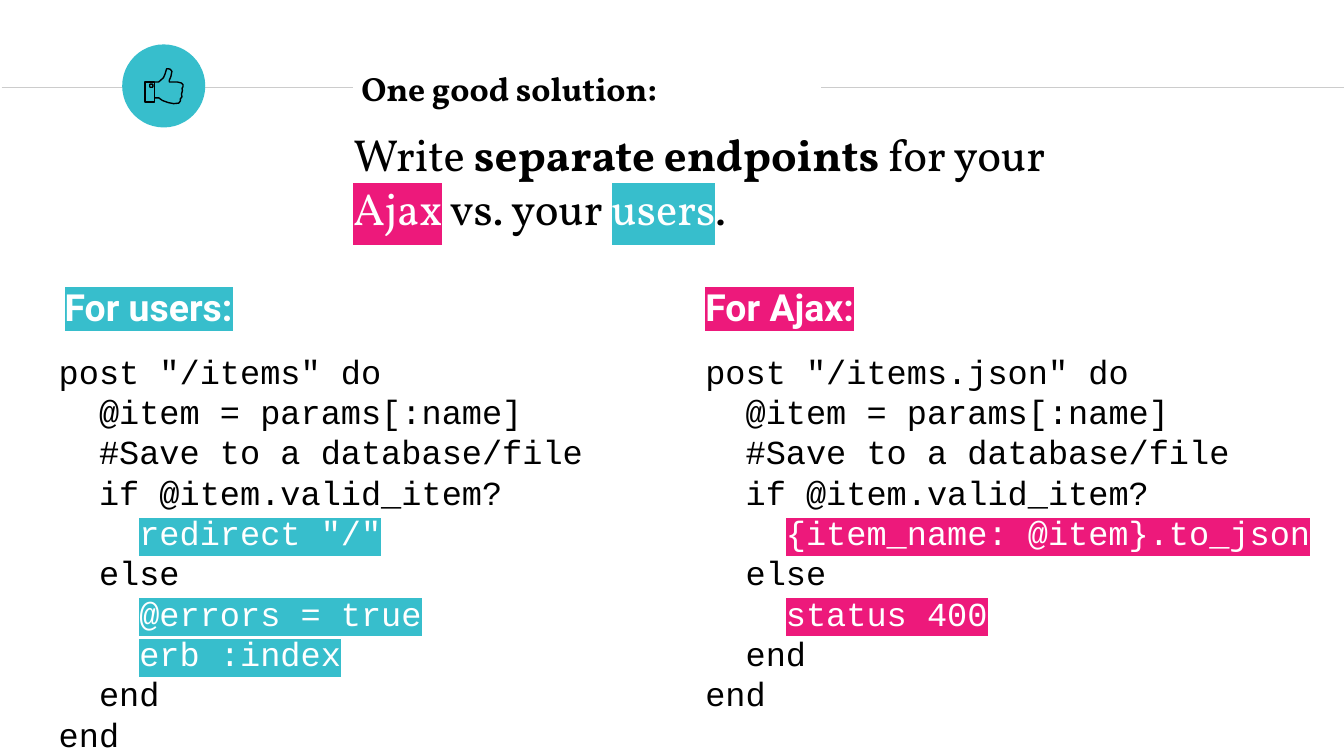
from dataclasses import dataclass
from math import cos, pi, sin

from lxml.etree import SubElement
from pptx import Presentation
from pptx.dml.color import RGBColor as RGB
from pptx.enum.shapes import MSO_CONNECTOR as CONN, MSO_SHAPE as SHAPE
from pptx.enum.text import MSO_ANCHOR as ANCHOR, MSO_AUTO_SIZE as AUTO, PP_ALIGN as ALIGN
from pptx.oxml import parse_xml
from pptx.oxml.ns import nsdecls, qn
from pptx.util import Cm, Pt


@dataclass(frozen=True)
class Theme:
    """Colours, fonts and type sizes."""
    ink: str = "000000"
    paper: str = "FFFFFF"
    rule: str = "CCCCCC"
    teal: str = "37BECC"
    pink: str = "ED197B"
    serif: str = "Vollkorn"
    sans: str = "Roboto"
    mono: str = "Courier New"
    body: int = 18
    label: int = 20
    lead: int = 24
    hairline: float = 0.75


def add_run(p, text, *, font, size, color, bold=False, mark=None):
    """Append a formatted run, highlighted when a mark colour is given."""
    r = p.add_run()
    r.text = text
    r.font.size, r.font.bold = Pt(size), bold
    r.font.color.rgb = RGB.from_string(color)
    if mark:
        fill = r._r.get_or_add_rPr().find(qn("a:solidFill"))
        fill.addnext(parse_xml(
            f'<a:highlight {nsdecls("a")}><a:srgbClr val="{mark}"/></a:highlight>'))
    r.font.name = font


class SlideBuilder:
    """Draws styled elements on the current slide."""

    def __init__(self, s, theme):
        """Keep the slide and its theme."""
        self.s, self.t = s, theme

    def frame(self, sp, box, anchor=ANCHOR.TOP):
        """Place a text shape and return its prepared text frame."""
        sp.left, sp.top, sp.width, sp.height = (Cm(v) for v in box)
        tf = sp.text_frame
        tf.word_wrap, tf.auto_size, tf.vertical_anchor = True, AUTO.NONE, anchor
        tf.margin_left = tf.margin_right = tf.margin_top = tf.margin_bottom = Cm(0.25)
        return tf

    def textbox(self, box):
        """Add an empty text box and return its text frame."""
        return self.frame(self.s.shapes.add_textbox(0, 0, 0, 0), box)

    def title(self, text, box):
        """Fill the title placeholder."""
        p = self.frame(self.s.shapes.title, box, ANCHOR.MIDDLE).paragraphs[0]
        p.alignment = ALIGN.LEFT
        add_run(p, text, font=self.t.serif, size=self.t.body, color=self.t.ink, bold=True)

    def subtitle(self, runs, box):
        """Fill the subtitle placeholder from (text, format) pairs."""
        p = self.frame(self.s.placeholders[1], box).paragraphs[0]
        p.alignment = ALIGN.LEFT
        p.line_spacing, p.space_before = Pt(29), Pt(5.4)
        for text, fmt in runs:
            style = {"color": self.t.ink, **fmt}
            add_run(p, text, font=self.t.serif, size=self.t.lead, **style)

    def label(self, text, box, mark):
        """Add a highlighted column heading."""
        p = self.textbox(box).paragraphs[0]
        p.space_before = Pt(1)
        add_run(p, text, font=self.t.sans, size=self.t.label,
                color=self.t.paper, bold=True, mark=mark)

    def code(self, lines, box, mark):
        """Add a code listing whose innermost lines are highlighted."""
        tf = self.textbox(box)
        for i, (level, text) in enumerate(lines):
            p = tf.add_paragraph() if i else tf.paragraphs[0]
            p.line_spacing = Pt(21.6)
            p._p.get_or_add_pPr().set("marL", str(Pt(21.6 * level)))
            inner = level == 2
            add_run(p, text, font=self.t.mono, size=self.t.body,
                    color=self.t.paper if inner else self.t.ink,
                    mark=mark if inner else None)

    def rule(self, x1, x2, y):
        """Add a horizontal hairline."""
        c = self.s.shapes.add_connector(CONN.STRAIGHT, Cm(x1), Cm(y), Cm(x2), Cm(y))
        c.line.color.rgb = RGB.from_string(self.t.rule)
        c.line.width = Pt(self.t.hairline)
        SubElement(c._element.spPr, qn("a:effectLst"))

    def disc(self, x, y, size, color):
        """Add a filled circle without an outline."""
        sp = self.s.shapes.add_shape(SHAPE.OVAL, Cm(x), Cm(y), Cm(size), Cm(size))
        sp.shadow.inherit = False
        sp.fill.solid()
        sp.fill.fore_color.rgb = RGB.from_string(color)
        sp.line.fill.background()

    def outline(self, *contours, close=True):
        """Add an unfilled freeform from points in hundredths of a centimetre."""
        first, *others = contours
        fb = self.s.shapes.build_freeform(*first[0], scale=float(Cm(0.01)))
        fb.add_line_segments(first[1:], close=close)
        for points in others:
            fb.move_to(*points[0])
            fb.add_line_segments(points[1:], close=close)
        sp = fb.convert_to_shape()
        sp.shadow.inherit = False
        sp.fill.background()
        sp.line.color.rgb = RGB.from_string(self.t.ink)
        sp.line.width = Pt(self.t.hairline)


CUFF = [(274, 155), (274, 193), (292, 193), (292, 155)]
BUTTON = [(286 + 3 * cos(k * pi / 6), 162 + 3 * sin(k * pi / 6)) for k in range(12)]
HAND = [
    (292, 185), (300, 185), (307, 190), (318, 194), (328, 196), (338, 195),
    (341, 191), (341, 187), (344, 183), (343, 178), (345, 171), (344, 167),
    (346, 164), (346, 160), (343, 157), (335, 155), (320, 155), (320, 152),
    (323, 145), (325, 135), (322, 131), (318, 130), (315, 130), (312, 140),
    (309, 147), (300, 155), (292, 155),
]


def endpoint(route, success, failure):
    """Return the (level, text) lines of one endpoint."""
    return [
        (0, f'post "{route}" do'),
        (1, "@item = params[:name]"),
        (1, "#Save to a database/file"),
        (1, "if @item.valid_item?"),
        (2, success),
        (1, "else"),
        *((2, text) for text in failure),
        (1, "end"),
        (0, "end"),
    ]


def main():
    """Build and save the slide."""
    t = Theme()
    prs = Presentation()
    prs.slide_width, prs.slide_height = Cm(25.4), Cm(14.29)
    b = SlideBuilder(prs.slides.add_slide(prs.slide_layouts[0]), t)

    b.title("One good solution:", (6.58, 0.05, 13.64, 3.23))
    b.subtitle([
        ("Write", {}),
        (" separate endpoints ", {"bold": True}),
        ("for your ", {}),
        ("Ajax", {"color": t.paper, "mark": t.pink}),
        (" vs. your ", {}),
        ("users", {"color": t.paper, "mark": t.teal}),
        (".", {}),
    ], (6.43, 2.13, 13.94, 3.43))

    for x1, x2 in ((0.03, 6.68), (15.52, 25.4)):
        b.rule(x1, x2, 1.65)
    b.disc(2.31, 0.84, 1.57, t.teal)
    b.outline(CUFF, BUTTON)
    b.outline(HAND, close=False)

    columns = [
        ("For users:", 0.97, 0.86, t.teal,
         endpoint("/items", 'redirect "/"', ["@errors = true", "erb :index"])),
        ("For Ajax:", 13.08, 13.08, t.pink,
         endpoint("/items.json", "{item_name: @item}.to_json", ["status 400"])),
    ]
    for heading, label_x, code_x, mark, lines in columns:
        b.code(lines, (code_x, 6.38, 13.08, 7.9), mark)
        b.label(heading, (label_x, 5.13, 5.89, 0.91), mark)

    prs.save("out.pptx")


if __name__ == "__main__":
    main()
